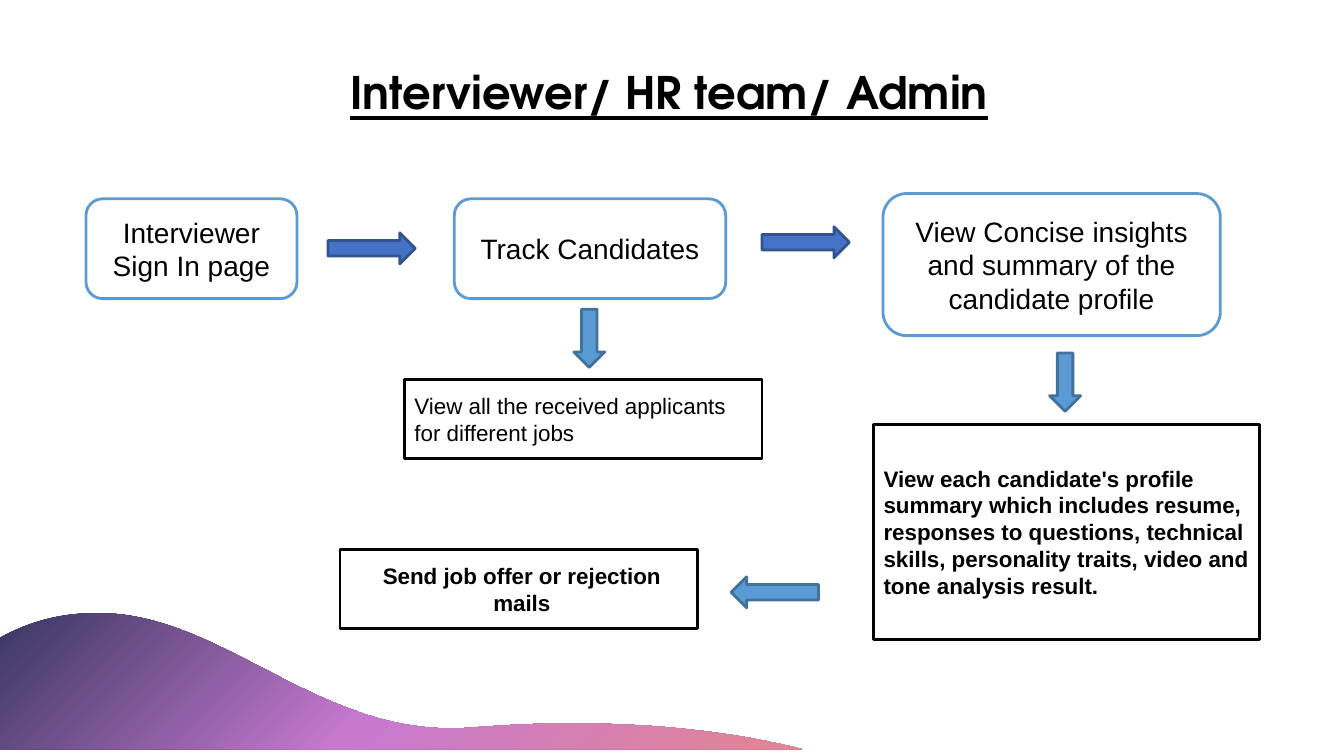
from copy import deepcopy
from pptx import Presentation
from pptx.dml.color import RGBColor
from pptx.enum.shapes import MSO_SHAPE
from pptx.enum.text import MSO_ANCHOR, MSO_AUTO_SIZE, PP_ALIGN
from pptx.oxml.ns import qn
from pptx.util import Inches, Pt

ROUND, RECT = MSO_SHAPE.ROUNDED_RECTANGLE, MSO_SHAPE.RECTANGLE
RIGHT, DOWN, LEFT = MSO_SHAPE.RIGHT_ARROW, MSO_SHAPE.DOWN_ARROW, MSO_SHAPE.LEFT_ARROW
TOP, MIDDLE = MSO_ANCHOR.TOP, MSO_ANCHOR.MIDDLE
START, CENTER = PP_ALIGN.LEFT, PP_ALIGN.CENTER
NO_FIT = MSO_AUTO_SIZE.NONE
PAGE = (0, 0, Inches(13.33), Inches(7.5))
BLACK, WHITE, BLUE = "000000", "FFFFFF", "5B9BD5"
FLAT, TALL = (6.5, 4.1), (2.3, 7.7)
NAVY, SKY = ("4472C4", "31538F"), (BLUE, "42719B")

STEPS = [
    ((6.4, 26.3, 15.7, 13.2), "Interviewer Sign In page"),
    ((33.8, 26.3, 20.2, 13.2), "Track Candidates"),
    ((65.7, 25.6, 25.1, 18.8),
     "View Concise insights and summary of the candidate profile"),
]
NOTES = [
    ((30.1, 50.2, 26.6, 10.5), START, False, 0.1,
     "View all the received applicants for different jobs"),
    ((65, 56.1, 28.7, 28.5), START, True, 0.1,
     "View each candidate's profile summary which includes resume, responses to "
     "questions, technical skills, personality traits, video and tone analysis result."),
    ((25.3, 72.7, 26.6, 10.5), CENTER, True, 0.16,
     "Send job offer or rejection mails"),
]
ARROWS = [
    (RIGHT, (24.4, 30.8), FLAT, NAVY),
    (RIGHT, (56.7, 30), FLAT, NAVY),
    (DOWN, (42.7, 40.9), TALL, SKY),
    (DOWN, (78.1, 46.7), TALL, SKY),
    (LEFT, (54.4, 76.3), FLAT, SKY),
]
CURVES = [
    ((0.12, 0), (0.28, -0.01), (0.4, 0.94), (0.59, 0.84)),
    ((0.59, 0.84), (0.76, 0.76), (0.9, 0.85), (1, 1)),
    ((0, 0.18), (0.04, 0.05), (0.08, 0), (0.12, 0)),
]
BLEND = [(0, "393762"), (0.5, "C779D0"), (1, "E48592")]


def color(text):
    """Turn a hex string into a colour."""
    return RGBColor.from_string(text)


def cut(box, part):
    """Give the place of a part, in percent of the box."""
    x, y, w, h = box
    left, top, wide, high = part
    return [round(n) for n in (x + w * left / 100, y + h * top / 100,
                               w * wide / 100, h * high / 100)]


def style(item, values):
    """Set each attribute named in the values."""
    for name, value in values.items():
        setattr(item, name, value)


def write(shape, text, size, align, anchor=MIDDLE, face="Arial", inset=0.1, **look):
    """Fill a shape with one formatted paragraph."""
    frame = shape.text_frame
    style(frame, {"word_wrap": True, "auto_size": NO_FIT, "vertical_anchor": anchor,
                  "margin_left": Inches(inset)})
    para = frame.paragraphs[0]
    para.alignment = align
    run = para.add_run()
    run.text = text
    style(run.font, {"size": Pt(size), "name": face, **look})
    run.font.color.rgb = color(BLACK)


def draw(slide, kind, place, fill, line):
    """Add a flat preset shape."""
    shape = slide.shapes.add_shape(kind, *place)
    shape.shadow.inherit = False
    shape.fill.solid()
    shape.fill.fore_color.rgb = color(fill)
    shape.line.color.rgb = color(line)
    shape.line.width = Pt(2)
    return shape


def add_title(slide, box):
    """Place the heading."""
    title = slide.shapes.title
    style(title, dict(zip(("left", "top", "width", "height"), box)))
    write(title, "Interviewer/ HR team/ Admin", 32, START, TOP,
          "TeX Gyre Adventor", bold=True, underline=True)


def add_wave(slide, box):
    """Draw the blended wave in the corner."""
    x, y, w, h = box
    dots = []
    for a, b, c, d in CURVES:
        for n in range(41):
            t = n / 40
            u = 1 - t
            px, py = (u ** 3 * a[i] + 3 * u * u * t * b[i] + 3 * u * t * t * c[i]
                      + t ** 3 * d[i] for i in (0, 1))
            dots.append((round(x + w * px), round(y + h * py)))
        if d == (1, 1):
            dots.append((x, y + h))
    form = slide.shapes.build_freeform(*dots[0], scale=1.0)
    form.add_line_segments(dots[1:], close=True)
    wave = form.convert_to_shape()
    wave.shadow.inherit = False
    wave.line.fill.background()
    wave.fill.gradient()
    wave.fill.gradient_angle = 315
    first = next(wave.element.iter(qn("a:gs")))
    first.addnext(deepcopy(first))
    for stop, (spot, tint) in zip(wave.fill.gradient_stops, BLEND):
        stop.position = spot
        stop.color.rgb = color(tint)


def add_flow(slide, box):
    """Place the steps, their notes and the arrows between them."""
    for part, text in STEPS:
        write(draw(slide, ROUND, cut(box, part), WHITE, BLUE), text, 20, CENTER)
    for part, align, bold, inset, text in NOTES:
        note = draw(slide, RECT, cut(box, part), WHITE, BLACK)
        write(note, text, 16, align, inset=inset, bold=bold)
    for kind, spot, size, tints in ARROWS:
        draw(slide, kind, cut(box, spot + size), *tints)


def main():
    """Build and save the slide."""
    deck = Presentation()
    style(deck, {"slide_width": PAGE[2], "slide_height": PAGE[3]})
    slide = deck.slides.add_slide(deck.slide_layouts[5])
    add_title(slide, cut(PAGE, (25.3, 7.9, 62.8, 11.7)))
    add_wave(slide, cut(PAGE, (0, 81.1, 59.7, 18)))
    add_flow(slide, PAGE)
    deck.save("out.pptx")


if __name__ == "__main__":
    main()
